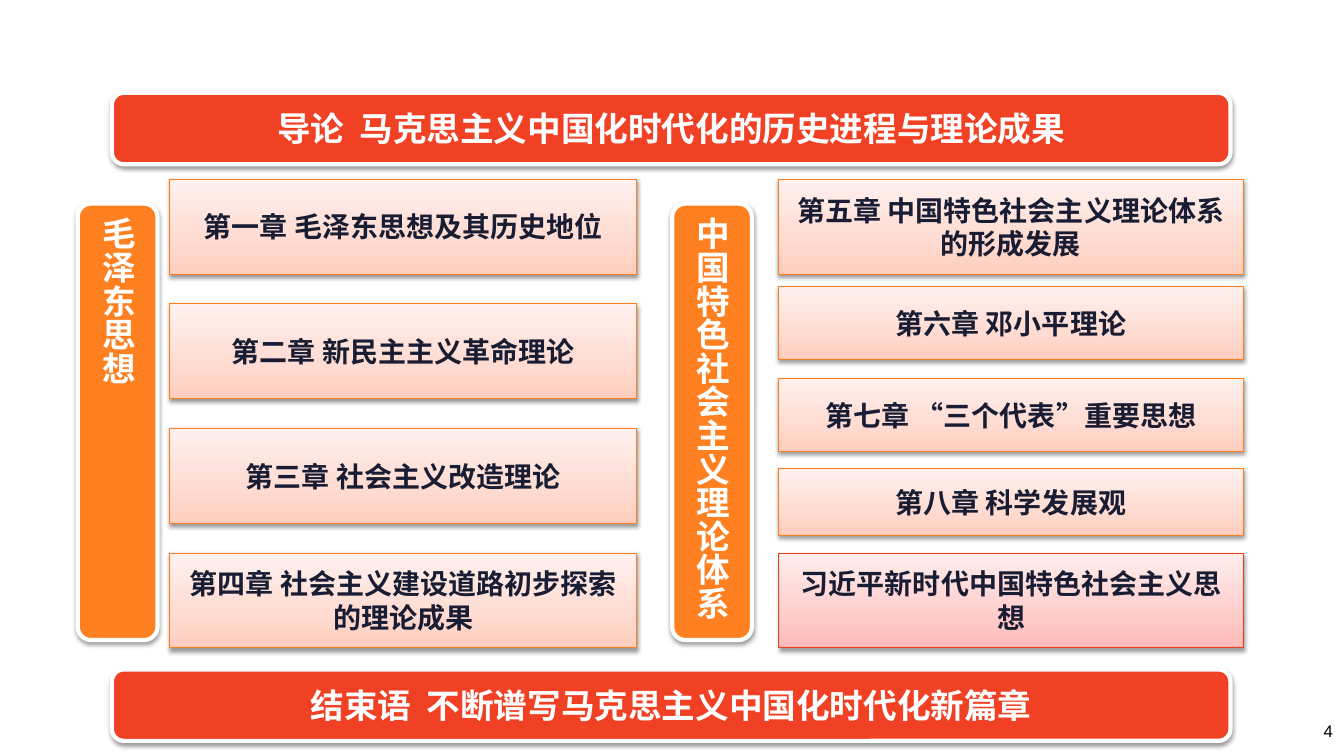
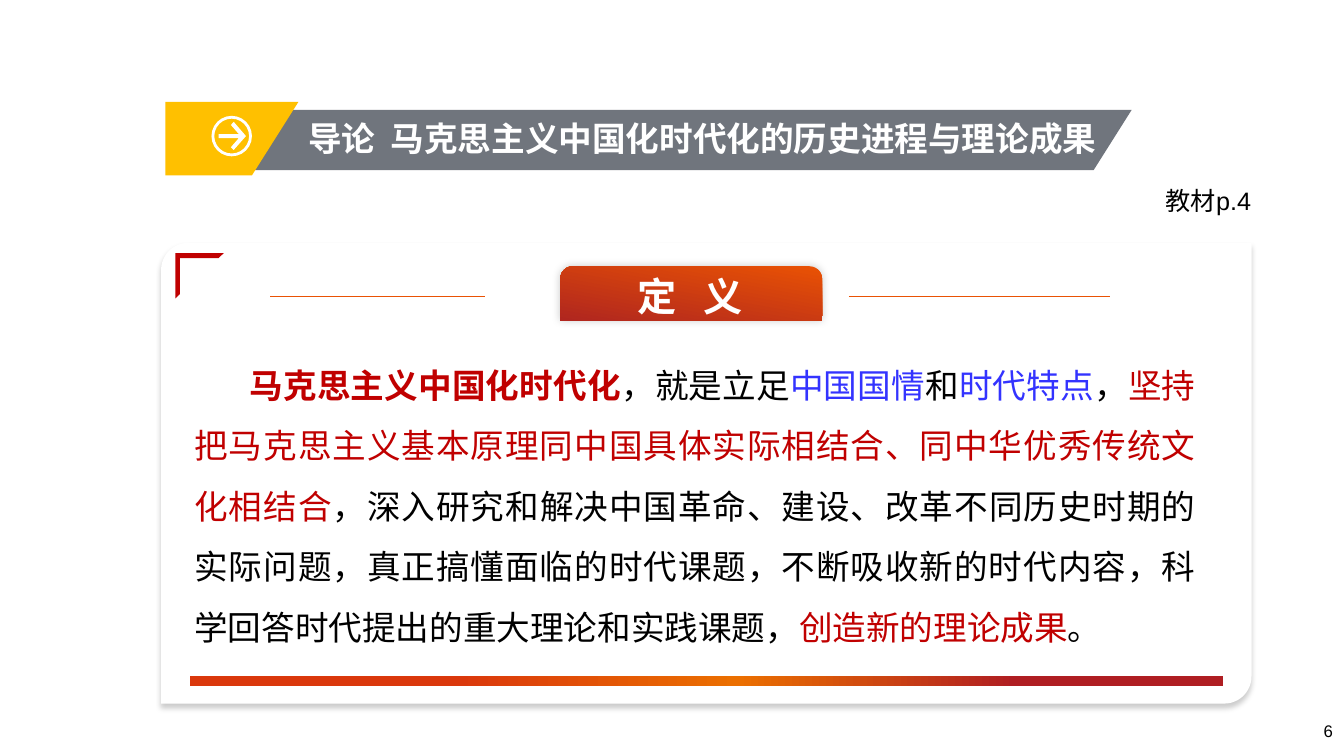
"""Build a course outline slide and a definition slide."""
from lxml.etree import SubElement
from pptx import Presentation
from pptx.dml.color import RGBColor
from pptx.enum.shapes import MSO_CONNECTOR, MSO_SHAPE
from pptx.enum.text import MSO_ANCHOR, PP_ALIGN
from pptx.oxml.ns import qn
from pptx.util import Cm, Pt

COLORS = {
    "white": "FFFFFF", "black": "000000", "navy": "191D34",
    "red": "F14124", "orange": "FF8021", "chapter_line": "FF7C1B",
    "final_line": "F13C1E", "gray": "70757D", "gold": "FFC000",
    "crimson": "C00000", "blue": "3333FF", "rule": "E95204",
}
CHAPTER_FILL = ([(0, "FFCDBD"), (35, "FFDBD1"), (100, "FFF1EE")], 270)
FINAL_FILL = ([(0, "FFBAB7"), (35, "FFCECC"), (100, "FFEDEC")], 270)
BADGE_FILL = ([(0, "E95204"), (100, "B0261F")], 100)
BAR_FILL = ([(26, "DA380C"), (53, "EB6F00"), (80, "AF1E22")], 0)
BOX_SHADOW = (38, 3.1, 1.6, 90)
CARD_SHADOW = (20, 4, 3, 90)
BADGE_SHADOW = (20, 6, 0, 315)
CHINESE_FONT, LATIN_FONT = "Noto Sans CJK SC", "Arial"
INTRODUCTION = ("导论", "马克思主义中国化时代化的历史进程与理论成果")


def color(name):
    return RGBColor.from_string(COLORS[name])


def gapped(first, second, gap):
    return [(first, {}), (" ", {"tracking": gap}), (second, {})]


def add_text(shape, spans, size, tint, bold=False, font=CHINESE_FONT,
             align=PP_ALIGN.CENTER, anchor=MSO_ANCHOR.MIDDLE, wrap=True):
    frame = shape.text_frame
    frame.word_wrap = wrap
    frame.vertical_anchor = anchor
    paragraph = frame.paragraphs[0]
    paragraph.alignment = align
    for text, style in spans:
        span = paragraph.add_run()
        span.text = text
        span.font.size = Pt(size)
        span.font.bold = style.get("bold", bold)
        span.font.color.rgb = color(style.get("tint", tint))
        span.font.name = font
        properties = span._r.get_or_add_rPr()
        SubElement(properties, qn("a:ea"), typeface=CHINESE_FONT)
        if "tracking" in style:
            properties.set("spc", str(round(style["tracking"] * 100)))
    return paragraph


def add_text_box(page, area, spans, size, tint, **options):
    box = page.shapes.add_textbox(*map(Cm, area))
    options.setdefault("anchor", MSO_ANCHOR.TOP)
    return add_text(box, spans, size, tint, **options)


def set_gradient(shape, stops, angle):
    shape.fill.gradient()
    gradient = shape._element.spPr.find(qn("a:gradFill"))
    stop_list = gradient.find(qn("a:gsLst"))
    for stop in list(stop_list):
        stop_list.remove(stop)
    for position, value in stops:
        stop = SubElement(stop_list, qn("a:gs"), pos=str(position * 1000))
        SubElement(stop, qn("a:srgbClr"), val=value)
    gradient.find(qn("a:lin")).set("ang", str(angle * 60000))


def set_shadow(shape, opacity, blur, distance, direction):
    effects = shape._element.spPr.find(qn("a:effectLst"))
    outer = SubElement(effects, qn("a:outerShdw"), blurRad=str(Pt(blur)),
                       dist=str(Pt(distance)), dir=str(direction * 60000),
                       algn="ctr", rotWithShape="0")
    tone = SubElement(outer, qn("a:srgbClr"), val=COLORS["black"])
    SubElement(tone, qn("a:alpha"), val=str(opacity * 1000))


def style_shape(shape, fill, line=None, shadow=None):
    if isinstance(fill, str):
        shape.fill.solid()
        shape.fill.fore_color.rgb = color(fill)
    else:
        set_gradient(shape, *fill)
    if line:
        shape.line.color.rgb = color(line[0])
        shape.line.width = Pt(line[1])
    else:
        shape.line.fill.background()
    shape.shadow.inherit = False
    if shadow:
        set_shadow(shape, *shadow)


def add_panel(page, kind, area, fill, line=None, shadow=None, adjustments=()):
    panel = page.shapes.add_shape(kind, *map(Cm, area))
    for index, value in enumerate(adjustments):
        panel.adjustments[index] = value
    style_shape(panel, fill, line, shadow)
    return panel


def add_polygon(page, points, fill):
    corners = [(Cm(x), Cm(y)) for x, y in points]
    builder = page.shapes.build_freeform(*corners[0])
    builder.add_line_segments(corners[1:], close=True)
    style_shape(builder.convert_to_shape(), fill)


def add_rule(page, left, right, height):
    rule = page.shapes.add_connector(
        MSO_CONNECTOR.STRAIGHT, Cm(left), Cm(height), Cm(right), Cm(height))
    rule.line.color.rgb = color("rule")
    rule.line.width = Pt(1)
    SubElement(rule._element.spPr, qn("a:effectLst"))


def add_page_number(page, number):
    add_text_box(page, (33, 18.03, 0.84, 1.02), [(number, {})], 12, "black",
                 font=LATIN_FONT, align=PP_ALIGN.RIGHT)


def add_banner(page, top, title):
    banner = add_panel(page, MSO_SHAPE.ROUNDED_RECTANGLE, (2.82, top, 28.19, 1.8),
                       "red", ("white", 3), BOX_SHADOW)
    add_text(banner, gapped(*title, 5.4), 24, "white", bold=True)


def add_pillar(page, left, title):
    pillar = add_panel(page, MSO_SHAPE.ROUNDED_RECTANGLE, (left, 5.13, 2.01, 11),
                       "orange", ("white", 3), BOX_SHADOW)
    add_text(pillar, [(title, {})], 24, "white", bold=True, align=PP_ALIGN.LEFT)
    pillar.text_frame._txBody.bodyPr.set("vert", "eaVert")


def add_chapter(page, area, title, fill=CHAPTER_FILL, line="chapter_line"):
    chapter = add_panel(page, MSO_SHAPE.RECTANGLE, area, fill, (line, 0.75), BOX_SHADOW)
    add_text(chapter, [(title, {})], 20, "navy", bold=True)


def add_section_heading(page, title):
    add_polygon(page, [(4.37, 2.77), (28.52, 2.77), (27.56, 4.29), (4.37, 4.29)], "gray")
    add_polygon(page, [(4.17, 2.57), (7.52, 2.57), (6.35, 4.42), (4.17, 4.42)], "gold")
    add_text_box(page, (7.52, 2.84, 20.68, 1.27), gapped(*title, 5.4), 24, "white",
                 bold=True, align=PP_ALIGN.LEFT, wrap=False)
    add_panel(page, MSO_SHAPE.DONUT, (5.33, 2.92, 1.02, 1.02), "white", adjustments=[0.07])
    add_polygon(page, [(5.89, 3.78), (5.82, 3.71), (6.02, 3.48), (5.51, 3.48), (5.51, 3.38),
                       (6.02, 3.38), (5.82, 3.15), (5.89, 3.07), (6.2, 3.43)], "white")


def add_definition_card(page, spans):
    add_panel(page, MSO_SHAPE.ROUND_2_DIAG_RECTANGLE, (4.06, 6.12, 27.48, 11.61),
              "white", shadow=CARD_SHADOW, adjustments=[0.059, 0])
    add_panel(page, MSO_SHAPE.RECTANGLE, (4.78, 17.04, 26.04, 0.25), BAR_FILL)
    paragraph = add_text_box(page, (4.65, 8.56, 25.73, 7.57), spans, 24, "black",
                             align=PP_ALIGN.JUSTIFY)
    paragraph.line_spacing = 1.5
    paragraph._p.get_or_add_pPr().set("indent", str(Cm(1.39)))
    add_panel(page, MSO_SHAPE.HALF_FRAME, (4.42, 6.38, 1.22, 1.14), "crimson",
              adjustments=[0.111, 0.102])
    add_panel(page, MSO_SHAPE.ROUND_2_SAME_RECTANGLE, (14.12, 6.71, 6.6, 1.37),
              BADGE_FILL, shadow=BADGE_SHADOW, adjustments=[0.232, 0])
    add_text_box(page, (13.46, 6.73, 7.85, 1.45), gapped("定", "义", 12.5), 28,
                 "white", bold=True)
    for left, right in ((6.81, 12.22), (21.39, 27.97)):
        add_rule(page, left, right, 7.47)


def build_outline(page):
    add_banner(page, 2.34, INTRODUCTION)
    add_pillar(page, 1.96, "毛泽东思想")
    early_chapters = [
        "第一章 毛泽东思想及其历史地位",
        "第二章 新民主主义革命理论",
        "第三章 社会主义改造理论",
        "第四章 社会主义建设道路初步探索的理论成果",
    ]
    for index, title in enumerate(early_chapters):
        add_chapter(page, (4.28, 4.52 + 3.14 * index, 11.76, 2.39), title)
    add_pillar(page, 16.94, "中国特色社会主义理论体系")
    later_chapters = [
        (4.52, 2.39, "第五章 中国特色社会主义理论体系的形成发展"),
        (7.21, 1.85, "第六章 邓小平理论"),
        (9.53, 1.85, "第七章 “三个代表”重要思想"),
        (11.81, 1.68, "第八章 科学发展观"),
    ]
    for top, height, title in later_chapters:
        add_chapter(page, (19.61, top, 11.73, height), title)
    add_chapter(page, (19.63, 13.94, 11.71, 2.39), "习近平新时代中国特色社会主义思想",
                FINAL_FILL, "final_line")
    add_banner(page, 16.87, ("结束语", "不断谱写马克思主义中国化时代化新篇章"))
    add_page_number(page, "4")


def build_definition(page):
    add_section_heading(page, INTRODUCTION)
    add_text_box(page, (29.13, 4.55, 3.86, 1.02), [("教材p.4", {})], 18, "black",
                 font=LATIN_FONT, align=PP_ALIGN.LEFT)
    crimson, blue = {"tint": "crimson"}, {"tint": "blue"}
    add_definition_card(page, [
        ("马克思主义中国化时代化", {"tint": "crimson", "bold": True}),
        ("，就是立足", {}),
        ("中国国情", blue),
        ("和", {}),
        ("时代特点", blue),
        ("，", {}),
        ("坚持把马克思主义基本原理同中国具体实际相结合、同中华优秀传统文化相结合", crimson),
        ("，深入研究和解决中国革命、建设、改革不同历史时期的实际问题，真正搞懂面临的时代课题，"
         "不断吸收新的时代内容，科学回答时代提出的重大理论和实践课题，", {}),
        ("创造新的理论成果", crimson),
        ("。", {}),
    ])
    add_page_number(page, "6")


def main():
    deck = Presentation()
    deck.slide_width, deck.slide_height = Cm(33.87), Cm(19.05)
    for build in (build_outline, build_definition):
        build(deck.slides.add_slide(deck.slide_layouts[6]))
    deck.save("out.pptx")


if __name__ == "__main__":
    main()
